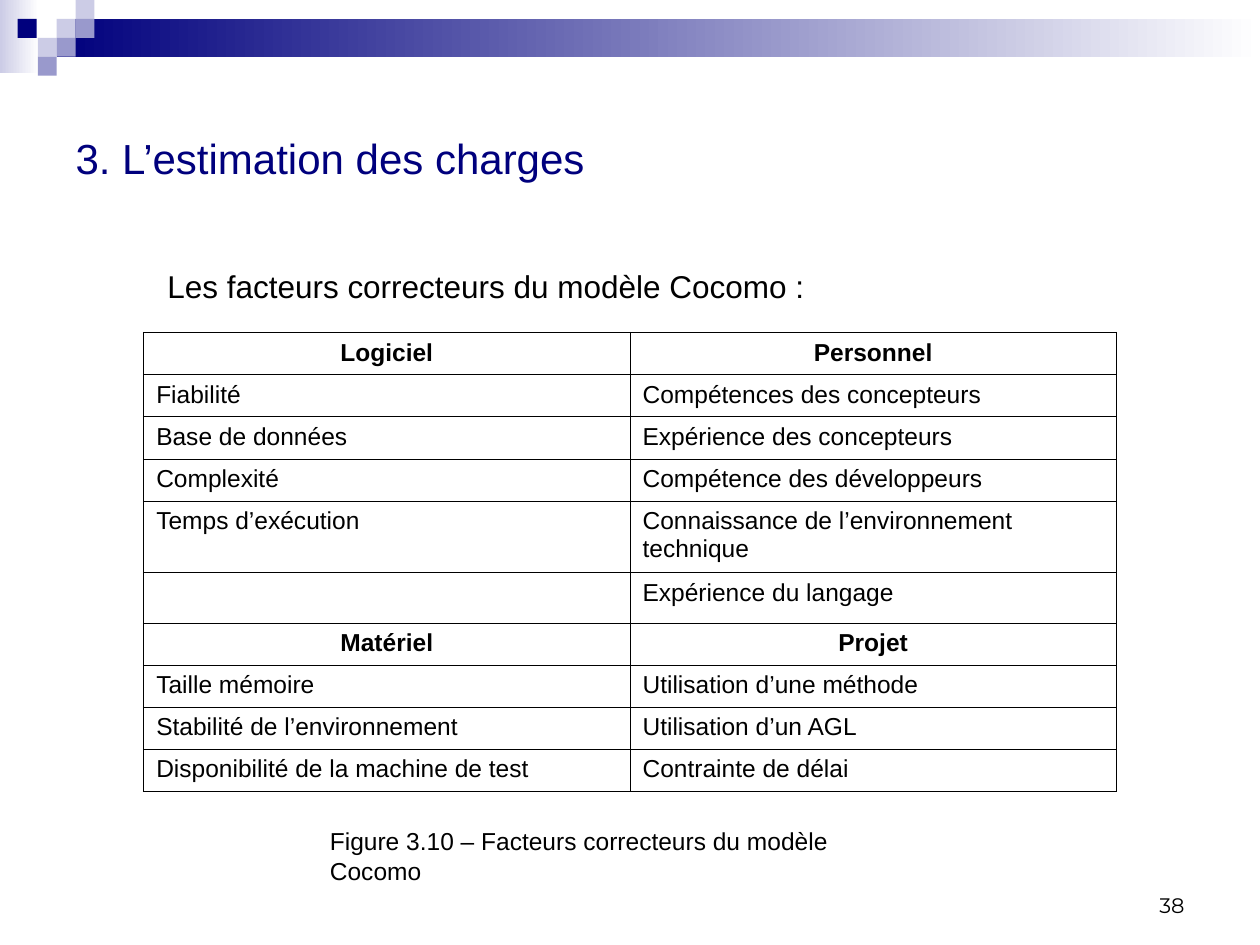
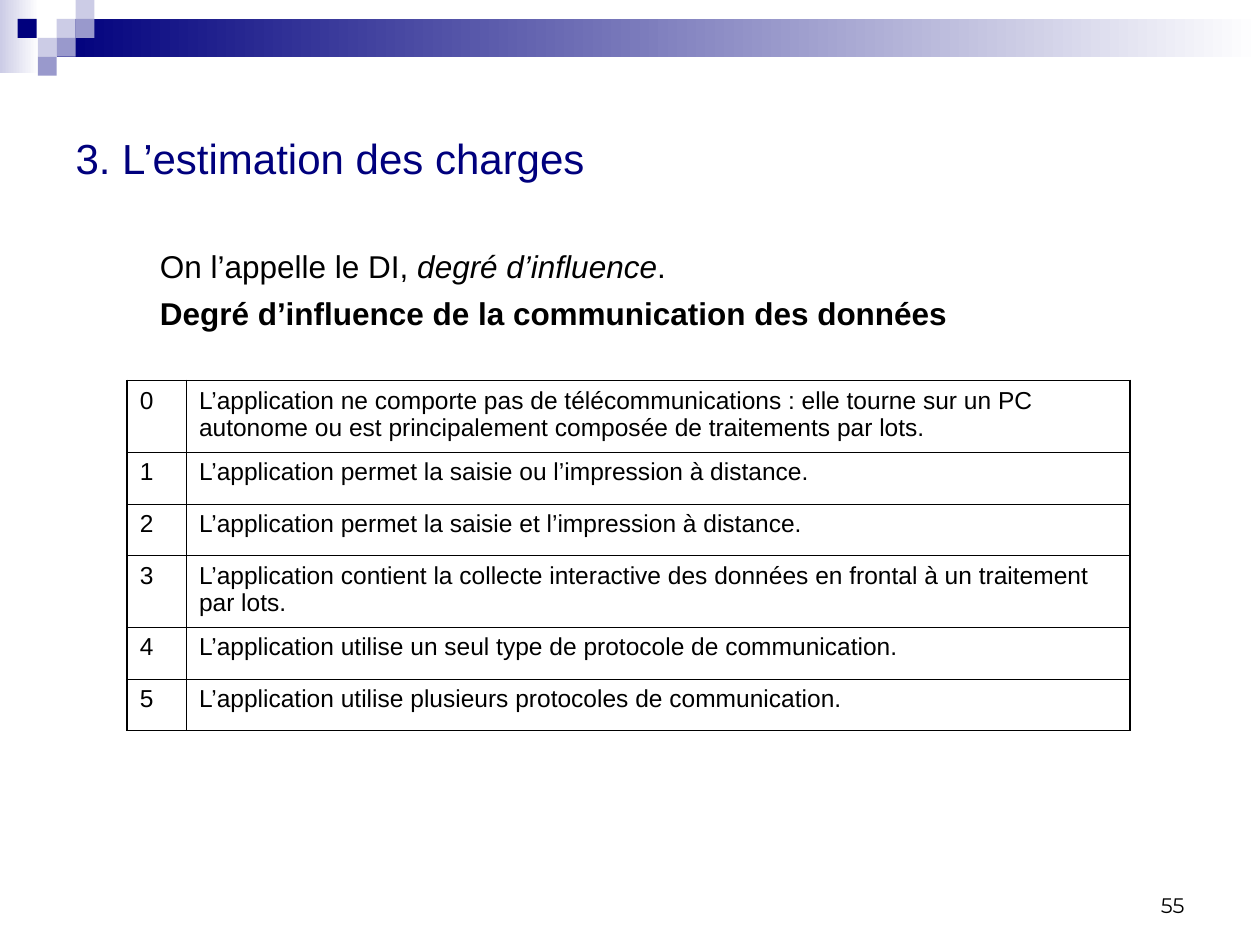
from pptx import Presentation
from pptx.dml.color import RGBColor
from pptx.enum.shapes import MSO_SHAPE
from pptx.enum.text import MSO_ANCHOR, PP_ALIGN
from pptx.oxml import parse_xml
from pptx.oxml.ns import nsdecls
from pptx.util import Inches, Pt

RECTANGLE = MSO_SHAPE.RECTANGLE
MIDDLE, BOTTOM = MSO_ANCHOR.MIDDLE, MSO_ANCHOR.BOTTOM
LEFT, CENTER, RIGHT = PP_ALIGN.LEFT, PP_ALIGN.CENTER, PP_ALIGN.RIGHT
TITLE_ONLY = 5

COLOURS = {
    "navy": "00007D",
    "lavender": "CCCCE6",
    "periwinkle": "9999CC",
    "white": "FFFFFF",
    "black": "000000",
}
TITLE_STYLE = {"name": "Arial", "size": Pt(24), "color": "navy"}
BODY_STYLE = {"name": "Arial", "size": Pt(18), "color": "black"}
TABLE_STYLE = {"name": "Arial", "size": Pt(14), "color": "black"}
NUMBER_STYLE = {"name": "Montserrat", "size": Pt(12), "color": "black"}

TITLE = "3. L’estimation des charges"
SQUARE = 0.15
MOSAIC = [
    (0.45, 0.15, "lavender"),
    (0.6, 0, "lavender"),
    (0.6, 0.15, "periwinkle"),
    (0.3, 0.3, "lavender"),
    (0.14, 0.15, "navy"),
    (0.45, 0.3, "periwinkle"),
    (0.3, 0.45, "periwinkle"),
]
OUTER_LINE, INNER_LINE = Pt(1.08), Pt(0.45)

FACTORS = [
    ("Logiciel", "Personnel"),
    ("Fiabilité", "Compétences des concepteurs"),
    ("Base de données", "Expérience des concepteurs"),
    ("Complexité", "Compétence des développeurs"),
    ("Temps d’exécution", "Connaissance de l’environnement technique"),
    ("", "Expérience du langage"),
    ("Matériel", "Projet"),
    ("Taille mémoire", "Utilisation d’une méthode"),
    ("Stabilité de l’environnement", "Utilisation d’un AGL"),
    ("Disponibilité de la machine de test", "Contrainte de délai"),
]
FACTOR_HEADINGS = (0, 6)
FACTOR_HEIGHTS = [0.33] * 4 + [0.57, 0.38] + [0.33] * 4

INFLUENCE_LEVELS = [
    "L’application ne comporte pas de télécommunications : elle tourne sur un PC "
    "autonome ou est principalement composée de traitements par lots.",
    "L’application permet la saisie ou l’impression à distance.",
    "L’application permet la saisie et l’impression à distance.",
    "L’application contient la collecte interactive des données en frontal à un "
    "traitement par lots.",
    "L’application utilise un seul type de protocole de communication.",
    "L’application utilise plusieurs protocoles de communication.",
]
INFLUENCE_HEIGHTS = [0.57, 0.41, 0.41, 0.57, 0.41, 0.41]


def rgb(colour):
    return RGBColor.from_string(COLOURS[colour])


def add_run(paragraph, text, style, **extra):
    run = paragraph.add_run()
    run.text = text
    for attribute, value in {**style, **extra}.items():
        if attribute == "color":
            run.font.color.rgb = rgb(value)
        else:
            setattr(run.font, attribute, value)


def add_rectangle(slide, left, top, width, height, *colours):
    """One colour gives a solid fill, two give a left-to-right gradient."""
    shape = slide.shapes.add_shape(
        RECTANGLE, Inches(left), Inches(top), Inches(width), Inches(height))
    shape.shadow.inherit = False
    shape.line.fill.background()
    if len(colours) == 1:
        shape.fill.solid()
        shape.fill.fore_color.rgb = rgb(colours[0])
        return
    shape.fill.gradient()
    shape.fill.gradient_angle = 0
    for stop, colour in zip(shape.fill.gradient_stops, colours):
        stop.color.rgb = rgb(colour)


def add_text(slide, left, top, width, height, paragraphs, style, **frame_format):
    """Each paragraph is a list of (text, extra font values)."""
    box = slide.shapes.add_textbox(
        Inches(left), Inches(top), Inches(width), Inches(height))
    frame = box.text_frame
    for attribute, value in {"word_wrap": True, **frame_format}.items():
        setattr(frame, attribute, value)
    for index, runs in enumerate(paragraphs):
        paragraph = frame.add_paragraph() if index else frame.paragraphs[0]
        if index:
            paragraph.space_before = Pt(5.6)
        for text, extra in runs:
            add_run(paragraph, text, style, **extra)
    return frame


def add_titled_slide(presentation, number):
    slide = presentation.slides.add_slide(presentation.slide_layouts[TITLE_ONLY])
    add_rectangle(slide, 0, 0, 0.31, 0.58, "lavender", "white")
    add_rectangle(slide, 0.45, 0.15, 9.55, 0.3, "navy", "white")
    for left, top, colour in MOSAIC:
        add_rectangle(slide, left, top, SQUARE, SQUARE, colour)

    title = slide.shapes.title
    title.left, title.top = Inches(0.5), Inches(0.5)
    title.width, title.height = Inches(9), Inches(1.5)
    title.text_frame.vertical_anchor = MIDDLE
    paragraph = title.text_frame.paragraphs[0]
    paragraph.alignment = LEFT
    add_run(paragraph, TITLE, TITLE_STYLE)

    frame = add_text(slide, 7.17, 6.83, 2.33, 0.5, [[(str(number), {})]],
                     NUMBER_STYLE, vertical_anchor=BOTTOM)
    frame.paragraphs[0].alignment = RIGHT
    return slide


def set_borders(cell, outer_sides):
    properties = cell._tc.get_or_add_tcPr()
    for side in "LRTB":
        width = OUTER_LINE if side in outer_sides else INNER_LINE
        properties.append(parse_xml(
            f'<a:ln{side} {nsdecls("a")} w="{int(width)}"><a:solidFill>'
            f'<a:srgbClr val="{COLOURS["black"]}"/></a:solidFill></a:ln{side}>'))


def add_grid(slide, left, top, widths, heights, rows, headings=()):
    """Add a table with thin inner lines and a thicker frame."""
    table = slide.shapes.add_table(
        len(rows), len(widths), Inches(left), Inches(top),
        Inches(sum(widths)), Inches(sum(heights))).table
    table.first_row = table.horz_banding = False
    for column, width in zip(table.columns, widths):
        column.width = Inches(width)
    for row, height in zip(table.rows, heights):
        row.height = Inches(height)

    for row_index, texts in enumerate(rows):
        for column_index, text in enumerate(texts):
            cell = table.cell(row_index, column_index)
            edges = {"L": column_index == 0, "R": column_index == len(widths) - 1,
                     "T": row_index == 0, "B": row_index == len(rows) - 1}
            set_borders(cell, [side for side, outer in edges.items() if outer])
            cell.fill.background()
            if not text:
                continue
            is_heading = row_index in headings
            paragraph = cell.text_frame.paragraphs[0]
            paragraph.alignment = CENTER if is_heading else LEFT
            add_run(paragraph, text, TABLE_STYLE, bold=is_heading)


def add_factors_slide(presentation):
    slide = add_titled_slide(presentation, 38)
    add_text(slide, 1.23, 2.07, 8.26, 0.4,
             [[("Les facteurs correcteurs du modèle Cocomo :", {})]], BODY_STYLE)
    add_grid(slide, 1.14, 2.64, [3.86, 3.86], FACTOR_HEIGHTS, FACTORS, FACTOR_HEADINGS)
    add_text(slide, 2.52, 6.51, 4.93, 0.34,
             [[("Figure 3.10 – Facteurs correcteurs du modèle Cocomo", {})]],
             TABLE_STYLE, word_wrap=False)


def add_influence_slide(presentation):
    slide = add_titled_slide(presentation, 55)
    add_text(slide, 1.17, 1.91, 8.32, 0.8, [
        [("On l’appelle le DI, ", {}), ("degré d’influence", {"italic": True}), (".", {})],
        [("Degré d’influence de la communication des données", {"bold": True})],
    ], BODY_STYLE)
    rows = [(str(level), text) for level, text in enumerate(INFLUENCE_LEVELS)]
    add_grid(slide, 1.01, 3.02, [0.47, 7.49], INFLUENCE_HEIGHTS, rows)


def main():
    presentation = Presentation()
    presentation.slide_width, presentation.slide_height = Inches(10), Inches(7.5)
    add_factors_slide(presentation)
    add_influence_slide(presentation)
    presentation.save("out.pptx")


if __name__ == "__main__":
    main()
